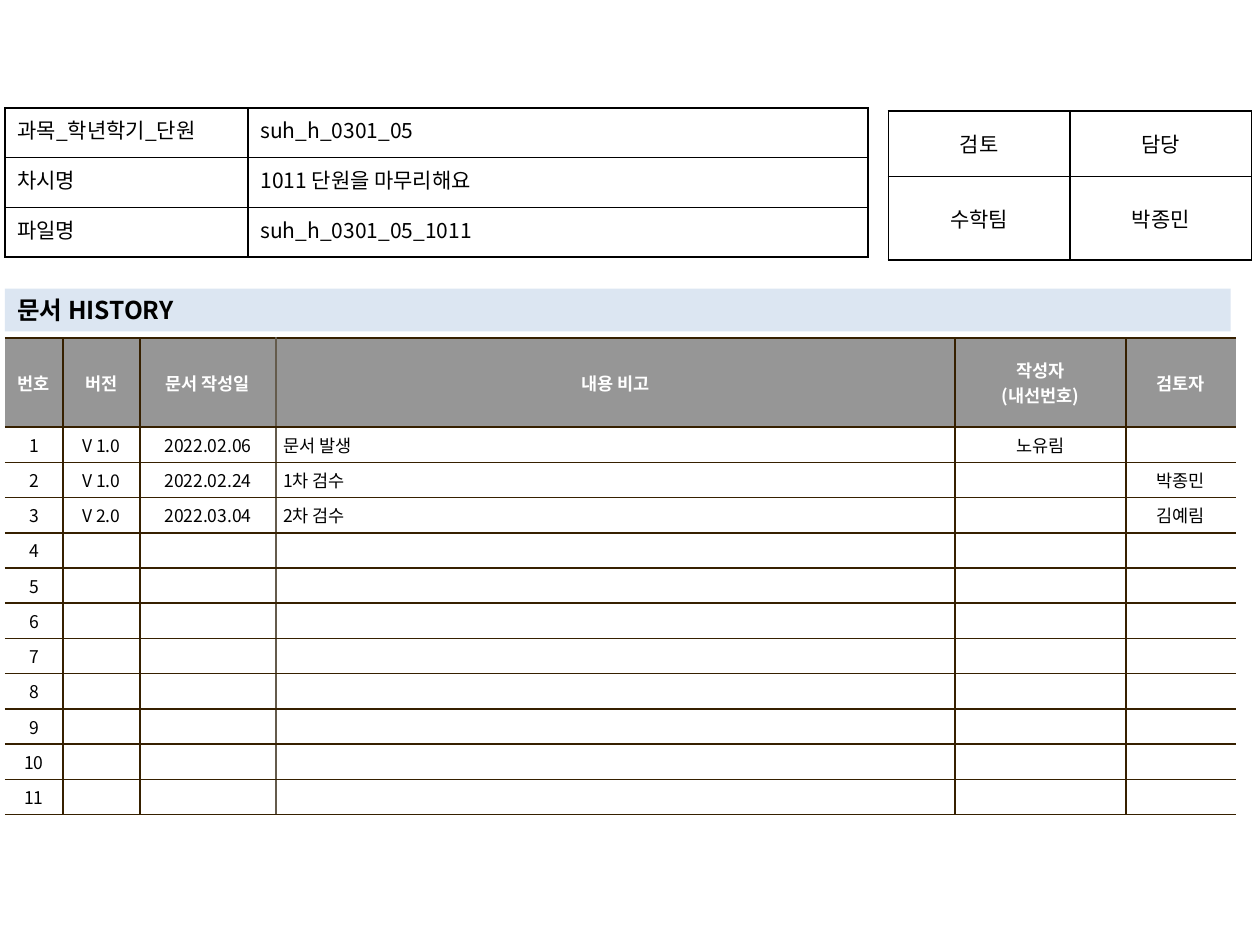
from dataclasses import dataclass
from typing import Optional

from lxml.etree import SubElement
from pptx import Presentation
from pptx.dml.color import RGBColor
from pptx.enum.shapes import MSO_SHAPE
from pptx.enum.text import MSO_ANCHOR, PP_ALIGN
from pptx.oxml.ns import qn
from pptx.util import Cm, Pt

FONT = "Noto Sans CJK KR"
BLACK, WHITE = "000000", "FFFFFF"
GREY, PALE_BLUE = "969696", "DCE6F2"
BROWN, TAUPE = "362000", "645B4C"
LEFT, CENTER, JUSTIFY = PP_ALIGN.LEFT, PP_ALIGN.CENTER, PP_ALIGN.JUSTIFY


@dataclass
class TextStyle:
    size: int
    color: str = BLACK
    bold: bool = False


@dataclass
class Column:
    width: float
    align: PP_ALIGN = CENTER
    hang: float = 0


@dataclass
class Grid:
    left: float
    top: float
    columns: list[Column]
    heights: list[float]
    rows: list[list[str]]
    style: TextStyle
    line: str = BLACK
    margins: tuple[float, float] = (0.25, 0.13)
    anchor: MSO_ANCHOR = MSO_ANCHOR.MIDDLE
    fill: Optional[str] = None
    header_style: Optional[TextStyle] = None
    header_fill: Optional[str] = None
    open_sides: bool = False
    soft_line_after: Optional[int] = None


def rgb(value: str) -> RGBColor:
    return RGBColor.from_string(value)


def style_text(tf, style: TextStyle, align: PP_ALIGN, hang: float = 0) -> None:
    for p in tf.paragraphs:
        p.alignment = align
        if hang:
            pPr = p._p.get_or_add_pPr()
            pPr.set("marL", str(Cm(hang)))
            pPr.set("indent", str(-Cm(hang)))
        for r in p.runs:
            r.font.size = Pt(style.size)
            r.font.name = FONT
            r.font.bold = style.bold
            r.font.color.rgb = rgb(style.color)
            SubElement(r._r.get_or_add_rPr(), qn("a:ea"), typeface=FONT)
        if not p.runs:  # keeps an empty cell as low as a filled one
            SubElement(p._p, qn("a:endParaRPr"), sz=str(style.size * 100))


def set_border(cell, side: str, color: Optional[str]) -> None:
    ln = SubElement(cell._tc.get_or_add_tcPr(), qn(f"a:ln{side}"), w=str(Pt(1)))
    if color is None:
        SubElement(ln, qn("a:noFill"))
    else:
        solid = SubElement(ln, qn("a:solidFill"))
        SubElement(solid, qn("a:srgbClr"), val=color)


def vertical_line(grid: Grid, edge: int) -> Optional[str]:
    if grid.open_sides and edge in (0, len(grid.columns)):
        return None
    return TAUPE if edge == grid.soft_line_after else grid.line


def draw_grid(s, grid: Grid) -> None:
    width = sum(col.width for col in grid.columns)
    frame = s.shapes.add_table(len(grid.rows), len(grid.columns), Cm(grid.left),
                               Cm(grid.top), Cm(width), Cm(sum(grid.heights)))
    table = frame.table
    table.first_row = table.horz_banding = False
    for i, col in enumerate(grid.columns):
        table.columns[i].width = Cm(col.width)
    for i, (height, texts) in enumerate(zip(grid.heights, grid.rows)):
        table.rows[i].height = Cm(height)
        is_header = i == 0 and grid.header_style is not None
        style = grid.header_style if is_header else grid.style
        fill = grid.header_fill if is_header else grid.fill
        for j, (col, text) in enumerate(zip(grid.columns, texts)):
            cell = table.cell(i, j)
            cell.margin_left = cell.margin_right = Cm(grid.margins[0])
            cell.margin_top = cell.margin_bottom = Cm(grid.margins[1])
            cell.vertical_anchor = grid.anchor
            set_border(cell, "L", vertical_line(grid, j))
            set_border(cell, "R", vertical_line(grid, j + 1))
            set_border(cell, "T", grid.line)
            set_border(cell, "B", grid.line)
            if fill:
                cell.fill.solid()
                cell.fill.fore_color.rgb = rgb(fill)
            else:
                cell.fill.background()
            cell.text_frame.text = text
            if is_header:
                style_text(cell.text_frame, style, CENTER)
            else:
                hang = col.hang if text else 0
                style_text(cell.text_frame, style, col.align, hang)


def draw_banner(s, text: str) -> None:
    sp = s.shapes.add_shape(MSO_SHAPE.RECTANGLE, Cm(0.1), Cm(5.82), Cm(24.71), Cm(0.86))
    sp.shadow.inherit = False
    sp.fill.solid()
    sp.fill.fore_color.rgb = rgb(PALE_BLUE)
    sp.line.fill.background()
    tf = sp.text_frame
    tf.word_wrap = True
    tf.vertical_anchor = MSO_ANCHOR.MIDDLE
    tf.text = text
    style_text(tf, TextStyle(14, bold=True), LEFT)


# Document history: entries first, then numbered empty rows
ENTRIES = [
    ["V 1.0", "2022.02.06", "문서 발생", "노유림", ""],
    ["V 1.0", "2022.02.24", "1차 검수", "", "박종민"],
    ["V 2.0", "2022.03.04", "2차 검수", "", "김예림"],
]
ROW_COUNT = 11
entries = ENTRIES + [[""] * 5] * (ROW_COUNT - len(ENTRIES))
HEADER = ["번호", "버전", "문서 작성일", "내용 비고", "작성자\n(내선번호)", "검토자"]

history = Grid(
    0.1, 6.81,
    [Column(1.17), Column(1.55), Column(2.74), Column(13.69, LEFT, 0.48),
     Column(3.45), Column(2.21, hang=0.23)],
    [1.8] + [0.71] * ROW_COUNT,
    [HEADER] + [[str(n), *entry] for n, entry in enumerate(entries, 1)],
    TextStyle(10), line=BROWN, margins=(0.15, 0.1), fill=WHITE,
    header_style=TextStyle(10, WHITE, True), header_fill=GREY,
    open_sides=True, soft_line_after=3,
)

# Sign-off and document details
sign_off = Grid(
    17.91, 2.24, [Column(3.66), Column(3.66)], [1.32, 1.68],
    [["검토", "담당"], ["수학팀", "박종민"]], TextStyle(12),
)
details = Grid(
    0.1, 2.18, [Column(4.9, JUSTIFY), Column(12.5, LEFT)], [1] * 3,
    [["과목_학년학기_단원", "suh_h_0301_05"],
     ["차시명", "1011 단원을 마무리해요"],
     ["파일명", "suh_h_0301_05_1011"]],
    TextStyle(12), anchor=MSO_ANCHOR.TOP,
)


def main() -> None:
    prs = Presentation()
    prs.slide_width, prs.slide_height = Cm(25.4), Cm(19.05)
    s = prs.slides.add_slide(prs.slide_layouts[6])
    draw_grid(s, history)
    draw_grid(s, sign_off)
    draw_banner(s, "문서 HISTORY")
    draw_grid(s, details)
    prs.save("out.pptx")


if __name__ == "__main__":
    main()
